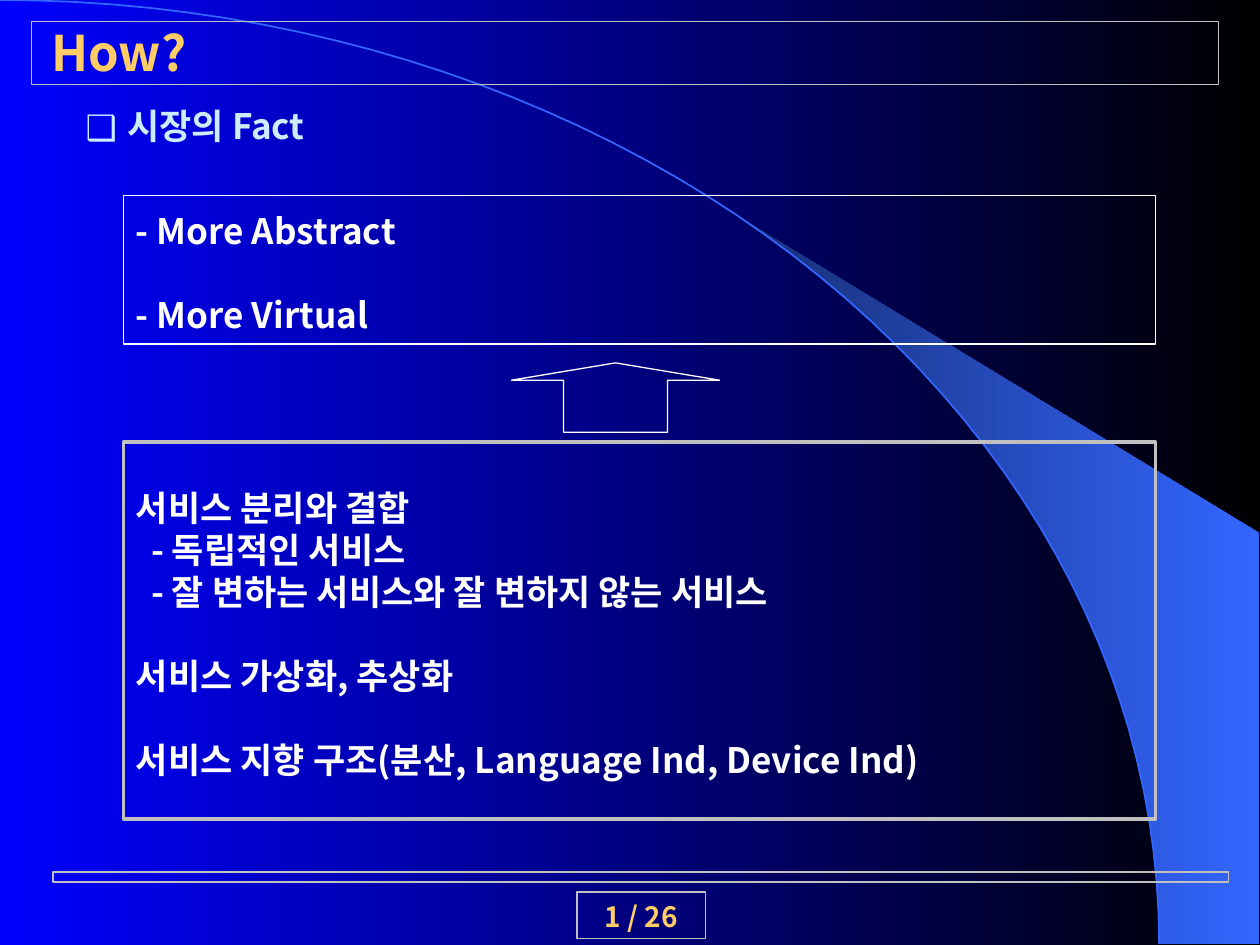
from dataclasses import dataclass
from math import asin, cos, pi, sin

from lxml.etree import SubElement
from pptx import Presentation
from pptx.dml.color import RGBColor
from pptx.enum.shapes import MSO_SHAPE
from pptx.enum.text import MSO_ANCHOR, MSO_AUTO_SIZE, PP_ALIGN
from pptx.oxml.ns import qn
from pptx.util import Inches, Pt


@dataclass(frozen=True)
class Theme:
    font: str = "Noto Sans CJK KR"
    blue: str = "0000FF"
    black: str = "000000"
    navy: str = "182F76"
    sky: str = "3366FF"
    gray: str = "C0C0C0"
    white: str = "FFFFFF"
    gold: str = "FFCC66"
    pale: str = "CCECFF"
    title: int = 28
    body: int = 20
    page: int = 16


class Deck:
    """Holds the theme and the current slide, and draws each kind of element."""

    def __init__(self, theme):
        self.theme = theme
        self.prs = Presentation()
        self.prs.slide_width, self.prs.slide_height = Inches(10), Inches(7.5)
        self.slide = self.prs.slides.add_slide(self.prs.slide_layouts[1])
        self.blend(self.slide.background.fill, theme.blue, theme.black)

    def blend(self, fill, *hues):
        fill.gradient()
        fill.gradient_angle = 0
        for stop, hue, pos in zip(fill.gradient_stops, hues, (0, 1)):
            stop.color.rgb = RGBColor.from_string(hue)
            stop.position = pos

    def edge(self, shape, hue, width):
        shape.shadow.inherit = False
        shape.fill.background()
        shape.line.color.rgb = RGBColor.from_string(hue)
        shape.line.width = Pt(width)
        return shape

    def outline(self, points, close):
        points = [(Inches(x), Inches(y)) for x, y in points]
        pen = self.slide.shapes.build_freeform(*points[0])
        pen.add_line_segments(points[1:], close=close)
        return pen.convert_to_shape()

    def curve(self, points, hue, width):
        return self.edge(self.outline(points, False), hue, width)

    def wedge(self, points, *hues):
        shape = self.outline(points, True)
        shape.shadow.inherit = False
        self.blend(shape.fill, *hues)
        shape.line.fill.background()
        return shape

    def box(self, area, hue, width=0.75, kind=MSO_SHAPE.RECTANGLE):
        shape = self.slide.shapes.add_shape(kind, *map(Inches, area))
        return self.edge(shape, hue, width)

    def holder(self, index, area):
        shape = self.slide.placeholders[index]
        shape.left, shape.top, shape.width, shape.height = map(Inches, area)
        tree = shape.element.getparent()
        tree.append(shape.element)
        return shape

    def label(self, shape, lines, size, hue, anchor=MSO_ANCHOR.MIDDLE,
              align=PP_ALIGN.LEFT, top=0.1, pitch=1.2):
        frame = shape.text_frame
        frame.text = "\n".join(lines)
        frame.word_wrap = True
        frame.auto_size = MSO_AUTO_SIZE.NONE
        frame.vertical_anchor = anchor
        frame.margin_top = Inches(top)
        for para in frame.paragraphs:
            para.alignment = align
            para.space_before = Pt(0)
            if pitch:
                para.line_spacing = Pt(size * pitch)
            for run in para.runs:
                font = run.font
                font.size, font.bold = Pt(size), True
                font.color.rgb = RGBColor.from_string(hue)
                font.name = self.theme.font
                SubElement(run._r.get_or_add_rPr(), qn("a:ea"),
                           typeface=self.theme.font)
        return frame.paragraphs

    def indent(self, para, left, first=0):
        props = para._p.get_or_add_pPr()
        props.set("marL", str(Inches(left)))
        props.set("indent", str(Inches(first)))
        return props

    def bullet(self, para, mark, hue, gap):
        props = self.indent(para, gap, -gap)
        tint = SubElement(props, qn("a:buClr"))
        SubElement(tint, qn("a:srgbClr"), val=hue)
        SubElement(props, qn("a:buFont"), typeface=self.theme.font)
        SubElement(props, qn("a:buChar"), char=mark)


def arc(start, steps=48):
    """Return points on the quarter ellipse from a start angle to the bottom."""
    wide, high = 9.2, 7.49
    turns = [start + (pi / 2 - start) * i / steps for i in range(steps + 1)]
    return [(wide * sin(t), high - high * cos(t)) for t in turns]


def main():
    theme = Theme()
    deck = Deck(theme)

    deck.wedge(arc(asin(0.64)) + [(9.99, 7.49), (9.99, 4.23)],
               theme.navy, theme.sky)
    deck.curve(arc(0), theme.sky, 1)

    deck.box((0.25, 0.17, 9.42, 0.5), theme.gray)
    title = deck.holder(0, (0.31, 0.08, 7.92, 0.67))
    deck.label(title, ["How?"], theme.title, theme.gold, top=0.05, pitch=None)

    deck.box((0.42, 6.92, 9.33, 0.08), theme.gray)
    page = deck.box((4.58, 7.08, 1.02, 0.37), theme.gray)
    deck.label(page, ["1 / 26"], theme.page, theme.gold,
               MSO_ANCHOR.TOP, PP_ALIGN.CENTER, 0.06)

    goals = deck.box((0.98, 1.55, 8.19, 1.18), theme.white)
    lines = deck.label(goals, ["- More Abstract", "- More Virtual"],
                       theme.body, theme.white)
    lines[1].space_before = Pt(24)

    head = deck.holder(1, (0.58, 0.75, 3.39, 0.43))
    lines = deck.label(head, ["시장의 Fact"], theme.body, theme.pale,
                       MSO_ANCHOR.TOP, top=0.08)
    deck.bullet(lines[0], "❑", theme.pale, 0.33)

    means = deck.box((0.98, 3.51, 8.19, 2.99), theme.gray, 2)
    lines = deck.label(means, [
        "서비스 분리와 결합",
        "- 독립적인 서비스",
        "- 잘 변하는 서비스와 잘 변하지 않는 서비스",
        "서비스 가상화, 추상화",
        "서비스 지향 구조(분산, Language Ind, Device Ind)",
    ], theme.body, theme.white)
    for para in lines[1:3]:
        deck.indent(para, 0.12)
    for para in lines[3:]:
        para.space_before = Pt(24)

    arrow = deck.box((4.06, 2.88, 1.65, 0.55), theme.white,
                     kind=MSO_SHAPE.UP_ARROW)
    arrow.adjustments[0], arrow.adjustments[1] = 0.5, 0.25

    deck.prs.save("out.pptx")


if __name__ == "__main__":
    main()
